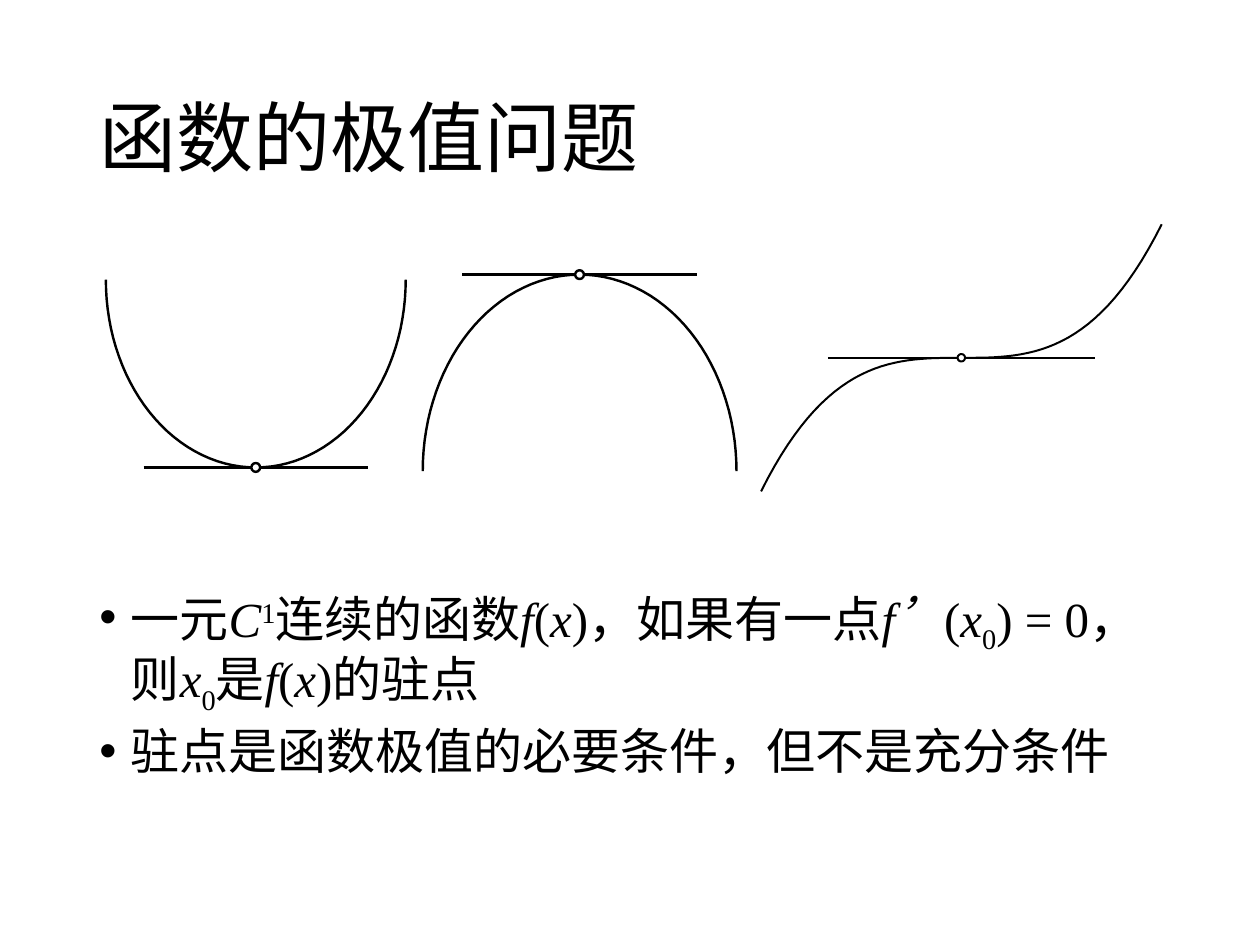
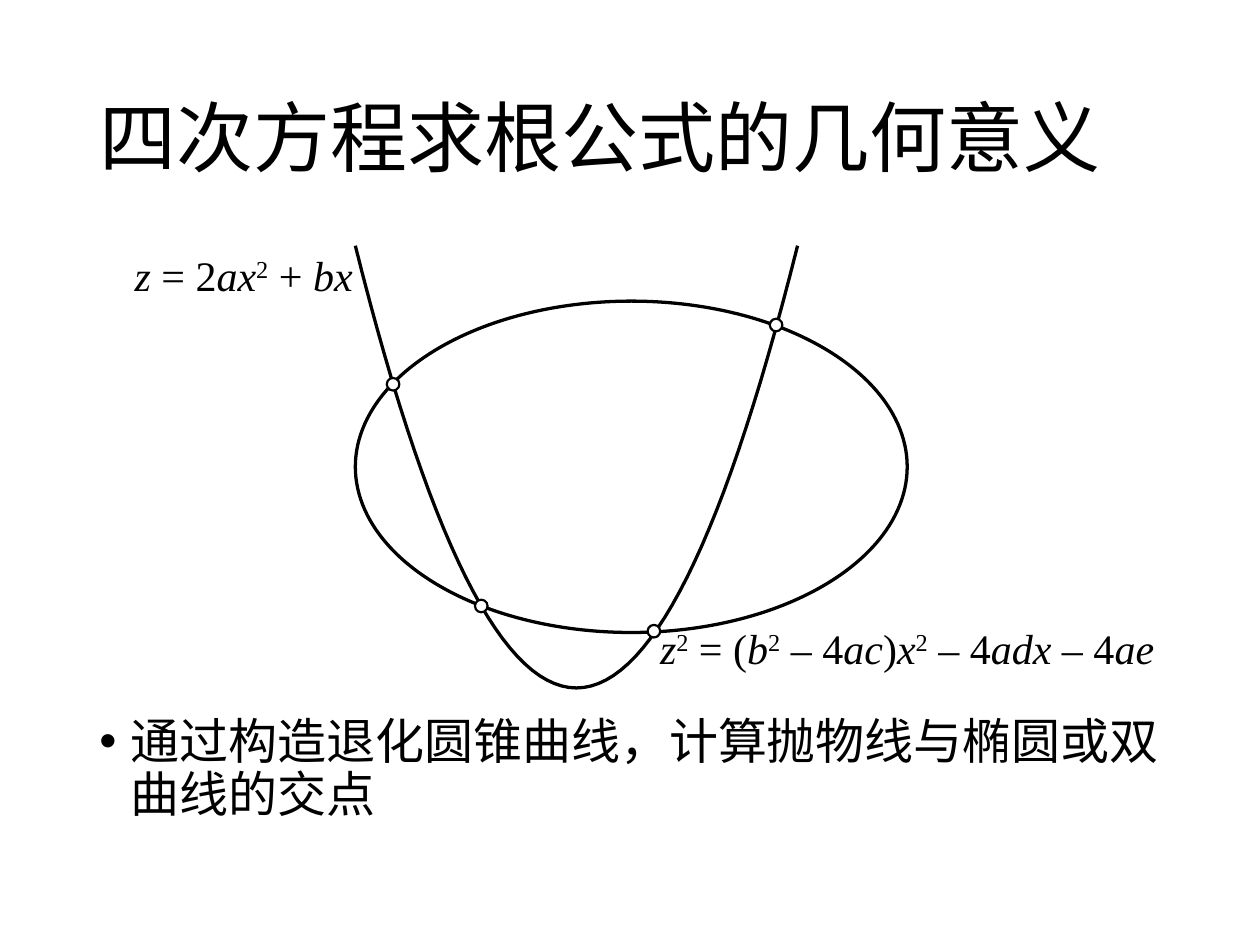
from math import cos, pi, sin

from pptx import Presentation
from pptx.dml.color import RGBColor
from pptx.enum import shapes, text
from pptx.oxml import parse_xml
from pptx.oxml.ns import nsdecls, qn
from pptx.util import Inches, Pt

INK, PAPER = "000000", "FFFFFF"
SANS, SERIF = "Noto Sans CJK SC", "Times New Roman"
LEFT, WIDE = 0.69, 8.62
STEPS = 60


def write(par, line, size, face):
    """Add runs split at |, where ~ marks italic, ^ superscript, _ subscript."""
    for part in line.split("|"):
        run = par.add_run()
        run.text = part.lstrip("~^_")
        font = run.font
        font.size, font.name = Pt(size), face
        font.color.rgb = RGBColor.from_string(INK)
        font.italic = part[0] == "~"
        props = run._r.get_or_add_rPr()
        props.append(parse_xml(f'<a:ea {nsdecls("a")} typeface="{SANS}"/>'))
        if part[0] in "^_":
            props.set("baseline", "30000" if part[0] == "^" else "-25000")


def ink(shape, weight, fill=None):
    """Give a shape a plain outline, and a fill if one is named."""
    shape.shadow.inherit = False
    shape.line.color.rgb = RGBColor.from_string(INK)
    shape.line.width = Pt(weight)
    if fill:
        shape.fill.solid()
        shape.fill.fore_color.rgb = RGBColor.from_string(fill)
    else:
        shape.fill.background()


deck = Presentation()
deck.slide_width, deck.slide_height = Inches(10), Inches(7.5)

# Titles and bullets
pages = [
    ("函数的极值问题", 4.63, 1.94, SERIF, [
        "一元|~C|^1|连续的函数|~f|(|~x|)，如果有一点|~f’|(|~x|_0|) = 0，则|~x|_0|是|~f|(|~x|)的驻点",
        "驻点是函数极值的必要条件，但不是充分条件"]),
    ("四次方程求根公式的几何意义", 5.64, 1.12, SANS, [
        "通过构造退化圆锥曲线，计算抛物线与椭圆或双曲线的交点"]),
]
for head, top, high, face, lines in pages:
    slide = deck.slides.add_slide(deck.slide_layouts[5])
    title = slide.shapes.title
    title.left, title.top = Inches(LEFT), Inches(0.4)
    title.width, title.height = Inches(WIDE), Inches(1.45)
    frame = title.text_frame
    frame.vertical_anchor = text.MSO_ANCHOR.MIDDLE
    par = frame.paragraphs[0]
    par.alignment, par.line_spacing = text.PP_ALIGN.LEFT, 0.9
    write(par, head, 44, SANS)

    box = slide.shapes.add_textbox(Inches(LEFT), Inches(top), Inches(WIDE), Inches(high))
    frame = box.text_frame
    frame.word_wrap = True
    for n, line in enumerate(lines):
        par = frame.add_paragraph() if n else frame.paragraphs[0]
        par.line_spacing, par.space_before = 0.9, Pt(10)
        props = par._p.get_or_add_pPr()
        props.set("marL", str(Inches(0.25)))
        props.set("indent", str(-Inches(0.25)))
        props.append(parse_xml(f'<a:buFont {nsdecls("a")} typeface="Arial"/>'))
        props.append(parse_xml(f'<a:buChar {nsdecls("a")} char="•"/>'))
        write(par, line, 28, face)

# Curves: each is traced for t from -1 to 1
first, last = deck.slides
span = [2 * n / STEPS - 1 for n in range(STEPS + 1)]
valley = [(2.03 + 1.19 * sin(t * pi / 2), 2.22 + 1.49 * cos(t * pi / 2)) for t in span]
hill = [(4.6 + 1.245 * sin(t * pi / 2), 3.74 - 1.56 * cos(t * pi / 2)) for t in span]
cubic = [(7.63 + 1.59 * t, 2.84 - 1.06 * t ** 3) for t in span]
bowl = [(4.575 + 1.755 * t, 5.46 - 3.51 * t ** 2) for t in span]
roots = [(3.12, 3.05), (3.82, 4.81), (5.19, 5.01), (6.16, 2.58)]

# slide, curve, line weight, dots, dot size, dot weight, half tangent, oval
plots = [
    (first, valley, 1.38, [(2.03, 3.71)], 0.07, 1.38, 0.89, None),
    (first, hill, 1.38, [(4.6, 2.18)], 0.07, 1.38, 0.93, None),
    (first, cubic, 1.13, [(7.63, 2.84)], 0.06, 1.13, 1.06, None),
    (last, bowl, 1.88, roots, 0.1, 1.25, 0, (2.82, 2.39, 4.38, 2.63)),
]
for slide, curve, weight, dots, size, rim, half, oval in plots:
    group = slide.shapes.add_group_shape().shapes
    if oval:
        ink(group.add_shape(shapes.MSO_SHAPE.OVAL, *map(Inches, oval)), weight)
    points = [(Inches(x), Inches(y)) for x, y in curve]
    pen = group.build_freeform(*points[0])
    pen.add_line_segments(points[1:], close=False)
    ink(pen.convert_to_shape(), weight)
    for x, y in dots:
        if half:
            flat = group.add_connector(shapes.MSO_CONNECTOR.STRAIGHT, Inches(x - half),
                                       Inches(y), Inches(x + half), Inches(y))
            flat.line.color.rgb = RGBColor.from_string(INK)
            flat.line.width = Pt(weight)
            flat._element.spPr.append(parse_xml(f'<a:effectLst {nsdecls("a")}/>'))
        dot = group.add_shape(shapes.MSO_SHAPE.OVAL, Inches(x - size / 2),
                              Inches(y - size / 2), Inches(size), Inches(size))
        ink(dot, rim, PAPER)

# Equations beside the two conics
labels = [
    (0.97, 1.93, 1.96, "~z| = 2|~ax|^2| + |~bx"),
    (5.14, 4.89, 4.2, "~z|^2| = (|~b|^2| – 4|~ac|)|~x|^2| – 4|~adx| – 4|~ae"),
]
for x, y, wide, line in labels:
    box = last.shapes.add_textbox(Inches(x), Inches(y), Inches(wide), Inches(0.5))
    box.text_frame.word_wrap = False
    box.text_frame.auto_size = text.MSO_AUTO_SIZE.SHAPE_TO_FIT_TEXT
    write(box.text_frame.paragraphs[0], line, 24, SERIF)

deck.save("out.pptx")
